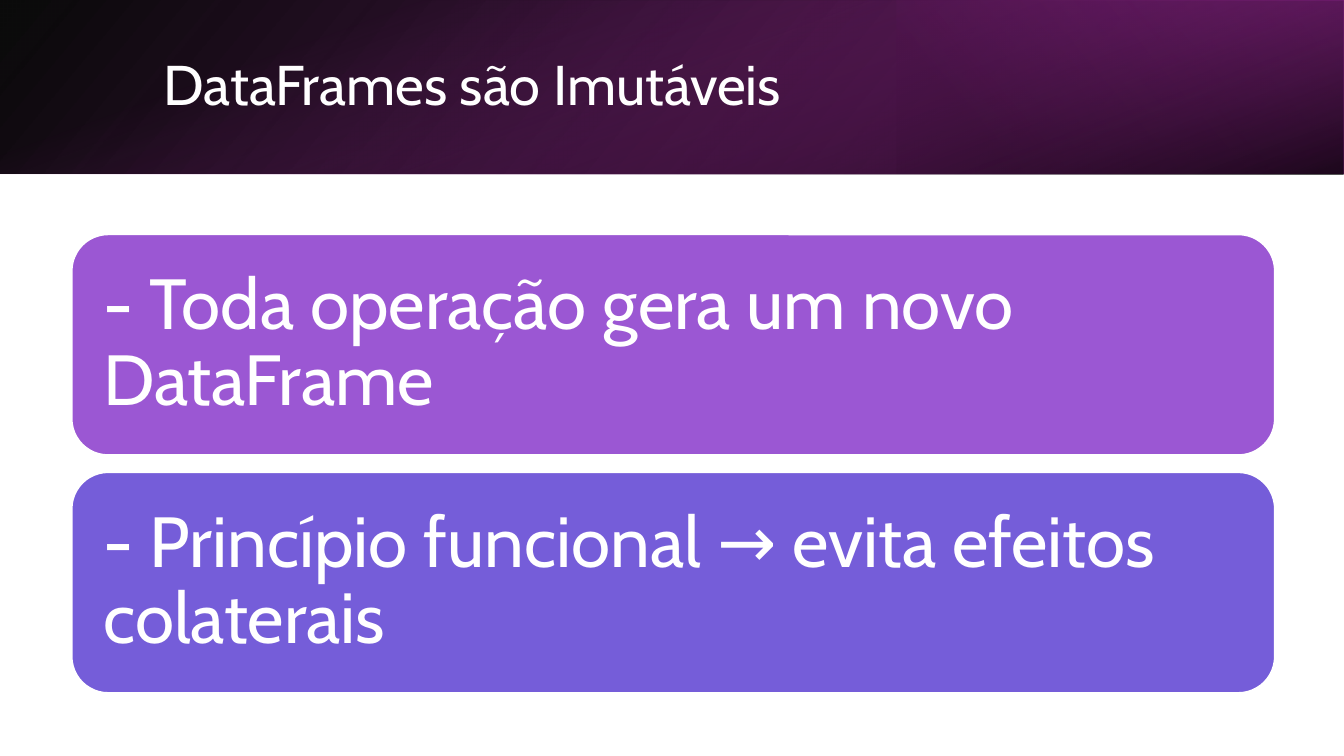
"""Builds the slide on immutable DataFrames."""
from lxml.etree import SubElement
from pptx import Presentation
from pptx.dml.color import RGBColor
from pptx.enum.shapes import MSO_SHAPE
from pptx.enum.text import MSO_ANCHOR, PP_ALIGN
from pptx.oxml.ns import qn
from pptx.util import Inches, Pt


def paint(color, code):
    color.rgb = RGBColor.from_string(code)


def write(shape, text, size):
    frame = shape.text_frame
    frame.word_wrap = True
    frame.vertical_anchor = MSO_ANCHOR.MIDDLE
    line = frame.paragraphs[0]
    line.text = text
    line.alignment = PP_ALIGN.LEFT
    line.line_spacing = 0.9
    line.font.name = "Cabin"
    line.font.size = Pt(size)
    paint(line.font.color, "FFFFFF")
    return frame


deck = Presentation()
deck.slide_width = Inches(10)
deck.slide_height = Inches(10) * 9 // 16
slide = deck.slides.add_slide(deck.slide_layouts[6])
shapes = slide.shapes

bands = [
    ((0, 0, 10, 1.29), 0, True, 140, [(0, "000000", 96), (100, "6D1D6B", 100)]),
    ((6.67, 0, 3.33, 1.29), 180, False, 140, [(19, "491447", 68), (100, "92278F", 79)]),
    ((4.35, -4.35, 1.29, 10), 90, False, 340, [(23, "92278F", 0), (99, "000000", 74)]),
]
for place, turn, flip, angle, stops in bands:
    band = shapes.add_shape(MSO_SHAPE.RECTANGLE, *map(Inches, place))
    band.shadow.inherit = False
    band.line.fill.background()
    band.rotation = turn
    if flip:
        band._element.spPr.find(qn("a:xfrm")).set("flipH", "1")
    band.fill.gradient()
    band.fill.gradient_angle = 360 - angle
    for stop, (spot, code, _) in zip(band.fill.gradient_stops, stops):
        stop.position = spot / 100
        paint(stop.color, code)
    tints = band._element.spPr.iter(qn("a:srgbClr"))
    for tint, (_, _, alpha) in zip(list(tints), stops):
        SubElement(tint, qn("a:alpha")).set("val", str(alpha * 1000))

title = shapes.add_textbox(Inches(1.12), Inches(0.29), Inches(8.24), Inches(0.72))
write(title, "DataFrames são Imutáveis", 30)

cards = [
    ("- Toda operação gera um novo DataFrame", "9B57D3"),
    ("- Princípio funcional → evita efeitos colaterais", "755DD9"),
]
for row, (text, code) in enumerate(cards):
    card = shapes.add_shape(MSO_SHAPE.ROUNDED_RECTANGLE, Inches(0.53),
                            Inches(1.74 + 1.77 * row), Inches(8.96), Inches(1.65))
    card.shadow.inherit = False
    card.fill.solid()
    paint(card.fill.fore_color, code)
    paint(card.line.color, "FFFFFF")
    card.line.width = Pt(1.5)
    frame = write(card, text, 38)
    frame.margin_left = frame.margin_right = Inches(0.16)
    frame.margin_top = frame.margin_bottom = Inches(0.16)
    frame.paragraphs[0].space_after = Pt(13.3)

deck.save("out.pptx")
